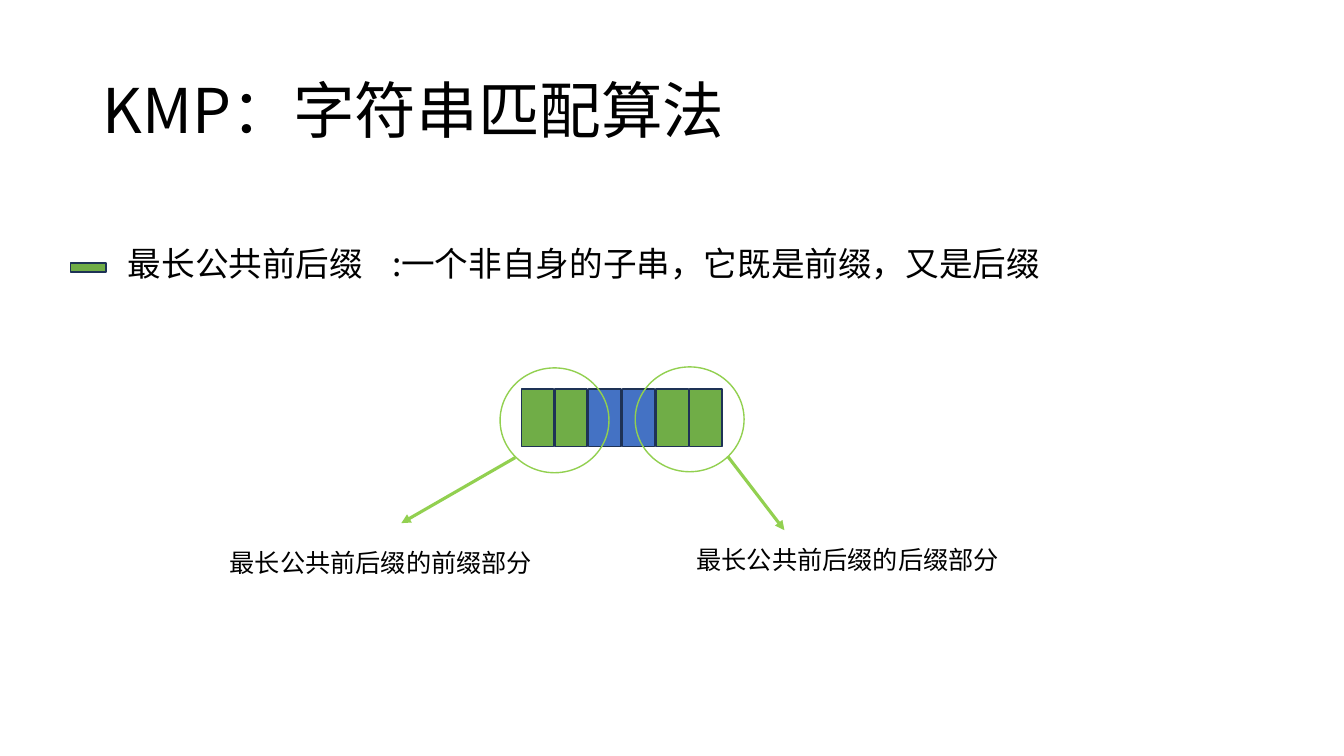
from lxml import etree
from pptx import Presentation
from pptx.dml.color import RGBColor
from pptx.enum.shapes import MSO_CONNECTOR, MSO_SHAPE
from pptx.enum.text import MSO_ANCHOR
from pptx.oxml.ns import qn
from pptx.util import Inches, Pt

RECTANGLE, ELLIPSE = MSO_SHAPE.RECTANGLE, MSO_SHAPE.OVAL
STRAIGHT = MSO_CONNECTOR.STRAIGHT
TOP, MIDDLE = MSO_ANCHOR.TOP, MSO_ANCHOR.MIDDLE

BLACK = RGBColor(0x00, 0x00, 0x00)
GREEN = RGBColor(0x70, 0xAD, 0x47)
BLUE = RGBColor(0x44, 0x72, 0xC4)
NAVY = RGBColor(0x1E, 0x32, 0x56)
LIME = RGBColor(0x92, 0xD0, 0x50)

COLUMNS, ROWS = 133.3, 75
CELL_LEFT, CELL_PITCH = 51.7, 3.34


class SlideBuilder:
    """Draws styled elements on a slide, placed by grid columns and rows."""

    font = "Noto Sans CJK SC"

    def __init__(self, deck):
        self.slide = deck.slides.add_slide(deck.slide_layouts[6])
        self.column = deck.slide_width / COLUMNS
        self.row = deck.slide_height / ROWS

    def place(self, *grid):
        return [round(value * (self.row if index % 2 else self.column))
                for index, value in enumerate(grid)]

    def text(self, wording, grid, size, anchor=TOP, spacing=0.83, inset=0.08):
        frame = self.slide.shapes.add_textbox(*self.place(*grid)).text_frame
        layout = {"word_wrap": True, "vertical_anchor": anchor,
                  "margin_top": Inches(inset)}
        for key, value in layout.items():
            setattr(frame, key, value)
        paragraph = frame.paragraphs[0]
        paragraph.line_spacing = spacing
        run = paragraph.add_run()
        run.text = wording
        for key, value in {"name": self.font, "size": Pt(size)}.items():
            setattr(run.font, key, value)
        run.font.color.rgb = BLACK
        east_asian = etree.SubElement(run.font._element, qn("a:ea"))
        east_asian.set("typeface", self.font)

    def shape(self, kind, grid, outline, fill=None):
        figure = self.slide.shapes.add_shape(kind, *self.place(*grid))
        figure.shadow.inherit = False
        if fill is None:
            figure.fill.background()
        else:
            figure.fill.solid()
            figure.fill.fore_color.rgb = fill
        figure.line.color.rgb = outline
        figure.line.width = Pt(1)

    def arrow(self, grid):
        pointer = self.slide.shapes.add_connector(STRAIGHT, *self.place(*grid))
        pointer.line.color.rgb = LIME
        pointer.line.width = Pt(2.25)
        tail = etree.SubElement(pointer.line._get_or_add_ln(), qn("a:tailEnd"))
        tail.set("type", "triangle")
        etree.SubElement(pointer._element.spPr, qn("a:effectLst"))


def main():
    deck = Presentation()
    deck.slide_width, deck.slide_height = Inches(13.33), Inches(7.5)
    page = SlideBuilder(deck)

    page.text("KMP：字符串匹配算法", (9.2, 4, 115, 14.5), 44, MIDDLE, 0.9, 0.05)
    page.text("最长公共前后缀", (11.7, 24, 25.6, 5), 24)
    page.shape(RECTANGLE, (7, 26.1, 3.5, 0.9), NAVY, GREEN)
    page.text(":一个非自身的子串，它既是前缀，又是后缀", (37.9, 24, 66.7, 5), 24)

    for index, color in enumerate([GREEN, GREEN, BLUE, BLUE, GREEN, GREEN]):
        left = CELL_LEFT + index * CELL_PITCH
        page.shape(RECTANGLE, (left, 38.6, 3.2, 5.7), NAVY, color)

    affixes = [
        ("最长公共前后缀的前缀部分", (49.6, 36.5), (51.1, 45.4, 39.8, 51.9), (21.8, 54)),
        ("最长公共前后缀的后缀部分", (63, 36.4), (72.2, 45.3, 77.8, 52.6), (68.1, 53.7)),
    ]
    for label, ring, pointer, corner in affixes:
        page.shape(ELLIPSE, (*ring, 10.8, 10.4), LIME)
        page.arrow(pointer)
        page.text(label, (*corner, 32.3, 4), 18)

    deck.save("out.pptx")


if __name__ == "__main__":
    main()
